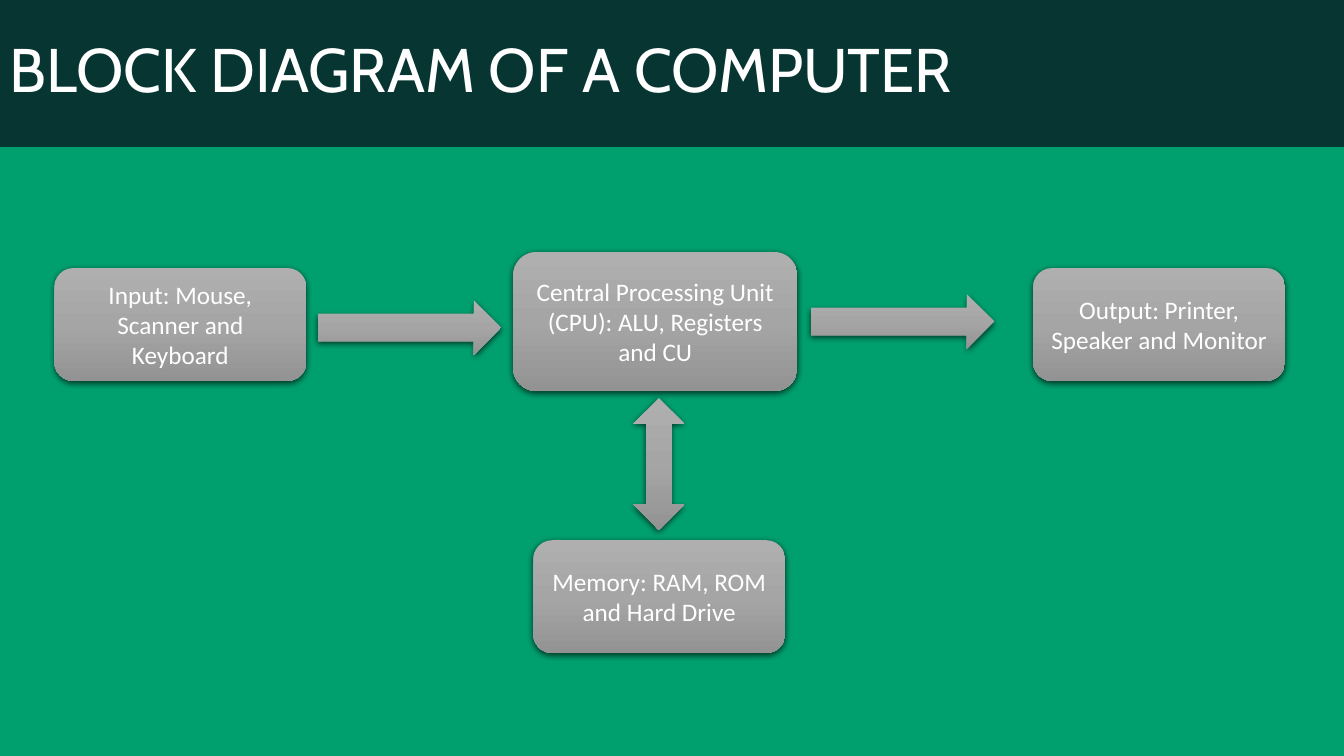
from lxml import etree
from pptx import Presentation
from pptx.dml.color import RGBColor
from pptx.enum.shapes import MSO_SHAPE
from pptx.enum.text import MSO_ANCHOR, PP_ALIGN
from pptx.oxml import parse_xml
from pptx.oxml.ns import qn
from pptx.util import Inches, Pt

RECT, ROUNDED = MSO_SHAPE.RECTANGLE, MSO_SHAPE.ROUNDED_RECTANGLE
RIGHT, UP_DOWN = MSO_SHAPE.RIGHT_ARROW, MSO_SHAPE.UP_DOWN_ARROW
MIDDLE = MSO_ANCHOR.MIDDLE
LEFT, CENTER = PP_ALIGN.LEFT, PP_ALIGN.CENTER

W, H = 13.33, 7.5
COL, ROW = W / 100, H / 100  # the slide is a grid of 100 by 100
COLORS = {
    "background": "00A06E", "banner": "063532", "text": "FFFFFF",
    "top": "AFAFAF", "mid": "A5A5A5", "bottom": "939393", "shadow": "000000",
}
NS = 'xmlns:a="http://schemas.openxmlformats.org/drawingml/2006/main"'
DOWN = 5400000  # 90 degrees

BLOCK = (18.75, 14.93)  # columns, rows
ARROW = (13.65, 7.2)
# text, column, row, size
BLOCKS = [
    ("Central Processing Unit (CPU): ALU, Registers and CU", 34.13, 0, (21.15, 18.4)),
    ("Output: Printer, Speaker and Monitor", 72.82, 2.13, BLOCK),
    ("Input: Mouse, Scanner and Keyboard", 0, 2.13, BLOCK),
    ("Memory: RAM, ROM and Hard Drive", 35.63, 38.13, BLOCK),
]
# shape, column, row, size
ARROWS = [
    (RIGHT, 19.58, 6.4, ARROW),
    (RIGHT, 56.26, 5.6, ARROW),
    (UP_DOWN, 43.06, 19.33, (3.83, 17.47)),
]


def rgb(name):
    return RGBColor.from_string(COLORS[name])


def add_part(shapes, kind, col, row, cols, rows):
    sp = shapes.add_shape(kind, Inches(col * COL), Inches(row * ROW),
                          Inches(cols * COL), Inches(rows * ROW))
    sp.shadow.inherit = False
    return sp


def write(sp, text, font, size, align):
    tf = sp.text_frame
    tf.word_wrap = True
    tf.vertical_anchor = MIDDLE
    p = tf.paragraphs[0]
    p.text = text
    p.alignment = align
    p.font.name, p.font.size = font, Pt(size)
    p.font.color.rgb = rgb("text")
    return p


def add_metal(sp):
    """Grey gradient from top to bottom with a soft shadow below."""
    sp.line.fill.background()
    stops = "".join(
        f'<a:gs pos="{pos * 1000}"><a:srgbClr val="{COLORS[name]}"/></a:gs>'
        for pos, name in ((0, "top"), (50, "mid"), (100, "bottom")))
    fill = parse_xml(f'<a:gradFill {NS} rotWithShape="1"><a:gsLst>{stops}</a:gsLst>'
                     f'<a:lin ang="{DOWN}" scaled="0"/></a:gradFill>')
    props = sp.element.spPr
    props.find(qn("a:prstGeom")).addnext(fill)
    shadow = etree.SubElement(
        props.find(qn("a:effectLst")), qn("a:outerShdw"), blurRad=str(Pt(4.5)),
        dist=str(Pt(1.5)), dir=str(DOWN), algn="ctr", rotWithShape="0")
    color = etree.SubElement(shadow, qn("a:srgbClr"), val=COLORS["shadow"])
    etree.SubElement(color, qn("a:alpha"), val="63000")


def add_banner(s, col, row, cols, rows):
    sp = add_part(s.shapes, RECT, col, row, cols, rows)
    sp.fill.solid()
    sp.fill.fore_color.rgb = rgb("banner")
    sp.line.color.rgb = rgb("banner")
    sp.line.width = Pt(0.75)
    p = write(sp, "BLOCK DIAGRAM OF A COMPUTER", "Cabin", 44, LEFT)
    p.line_spacing = 0.9


def add_diagram(s, left, top):
    group = s.shapes.add_group_shape()
    # Blocks
    for text, col, row, size in BLOCKS:
        sp = add_part(group.shapes, ROUNDED, left + col, top + row, *size)
        add_metal(sp)
        write(sp, text, "Calibri", 18, CENTER)
    # Arrows between the blocks
    for kind, col, row, size in ARROWS:
        add_metal(add_part(group.shapes, kind, left + col, top + row, *size))


def main():
    prs = Presentation()
    prs.slide_width, prs.slide_height = Inches(W), Inches(H)
    s = prs.slides.add_slide(prs.slide_layouts[6])
    s.background.fill.solid()
    s.background.fill.fore_color.rgb = rgb("background")
    add_banner(s, 0, 0, 100, 19.33)
    add_diagram(s, 4.05, 33.33)
    prs.save("out.pptx")


if __name__ == "__main__":
    main()
